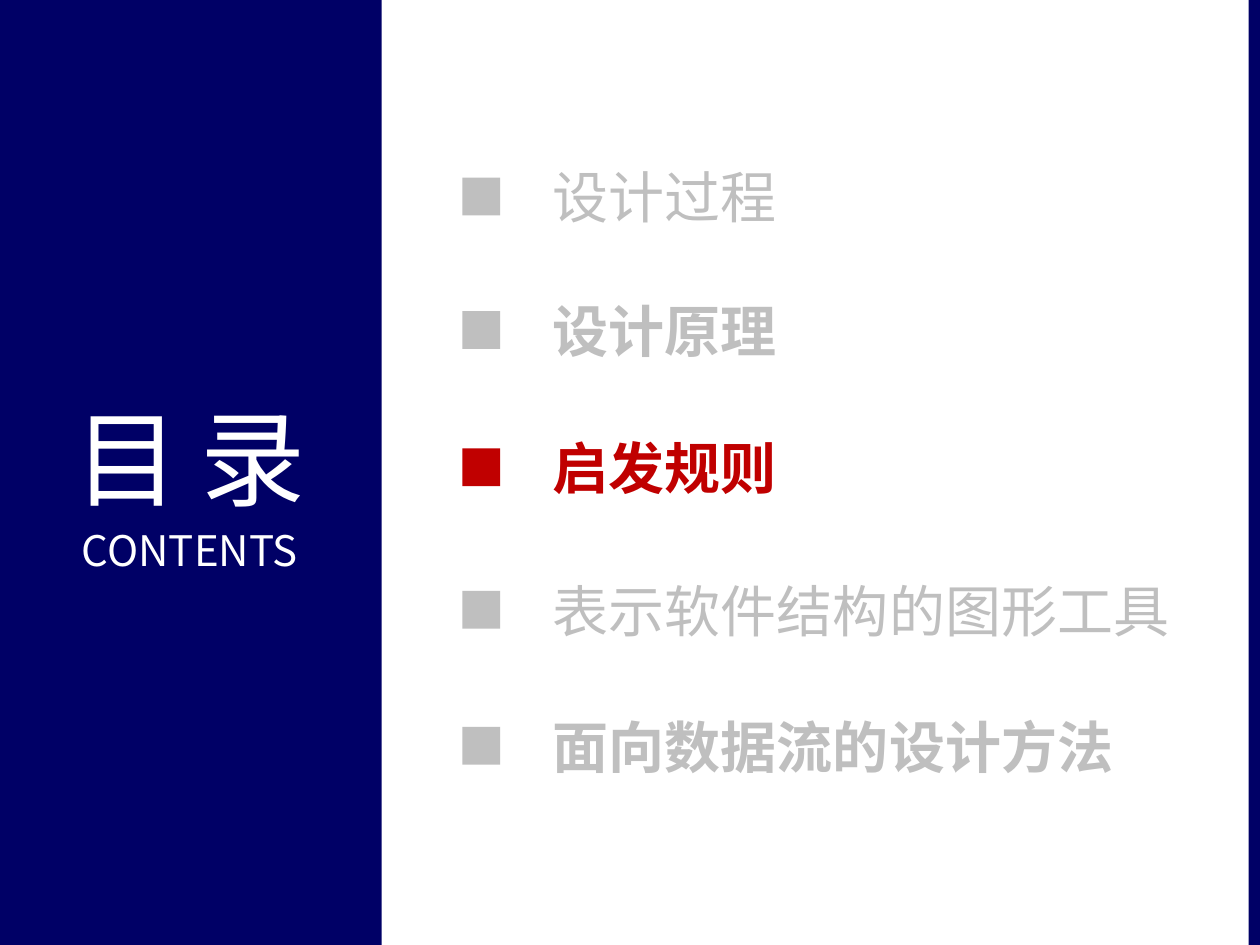
from dataclasses import dataclass

from pptx import Presentation
from pptx.dml.color import RGBColor
from pptx.enum.shapes import MSO_SHAPE
from pptx.enum.text import MSO_ANCHOR, MSO_AUTO_SIZE, PP_ALIGN
from pptx.oxml.ns import qn
from pptx.util import Inches, Pt
from lxml.etree import SubElement


@dataclass(frozen=True)
class Theme:
    font: str = "Noto Sans CJK SC"
    navy: str = "000066"
    white: str = "FFFFFF"
    muted: str = "BFBFBF"
    active: str = "C00000"
    title: int = 60
    subtitle: int = 24
    item: int = 32


class Deck:
    """Style and current slide; lengths are in columns and rows of one inch."""

    COLS, ROWS = 10, 7.5

    def __init__(self, theme):
        self.theme = theme
        self.prs = Presentation()
        self.prs.slide_width = Inches(self.COLS)
        self.prs.slide_height = Inches(self.ROWS)
        self.s = self.prs.slides.add_slide(self.prs.slide_layouts[6])

    def block(self, x, y, w, h, color):
        sp = self.s.shapes.add_shape(
            MSO_SHAPE.RECTANGLE, *map(Inches, (x, y, w, h)))
        sp.shadow.inherit = False
        sp.fill.solid()
        sp.fill.fore_color.rgb = RGBColor.from_string(color)
        sp.line.fill.background()

    def text_box(self, x, y, w, h, anchor=MSO_ANCHOR.MIDDLE):
        tf = self.s.shapes.add_textbox(*map(Inches, (x, y, w, h))).text_frame
        tf.word_wrap = True
        tf.auto_size = MSO_AUTO_SIZE.NONE
        tf.vertical_anchor = anchor
        return tf

    def style(self, p, text, size, color, bold=False,
              align=PP_ALIGN.LEFT, tracking=0):
        p.text = text
        p.alignment = align
        font = p.font
        font.name = self.theme.font
        font.size = Pt(size)
        font.bold = bold
        font.color.rgb = RGBColor.from_string(color)
        # East Asian typeface and letter spacing
        props = p._p.pPr.find(qn("a:defRPr"))
        SubElement(props, qn("a:ea")).set("typeface", self.theme.font)
        if tracking:
            props.set("spc", str(tracking * 100))

    def heading(self, x, y, w, h, title, subtitle):
        t = self.theme
        tf = self.text_box(x, y, w, h, MSO_ANCHOR.BOTTOM)
        self.style(tf.paragraphs[0], title, t.title, t.white,
                   align=PP_ALIGN.CENTER, tracking=12)
        p = tf.add_paragraph()
        self.style(p, subtitle, t.subtitle, t.white, align=PP_ALIGN.CENTER)
        p.space_before = Pt(3)

    def item(self, middle, text, color, bold):
        marker, height = 0.3, 0.64
        self.block(3.67, middle - marker / 2, marker, marker, color)
        tf = self.text_box(4.29, middle - height / 2, 5.4, height)
        self.style(tf.paragraphs[0], text, self.theme.item, color, bold)


def main():
    theme = Theme()
    deck = Deck(theme)

    # Side panel with heading, and right edge
    left, width, edge = -0.02, 3.05, 0.09
    deck.block(left, 0, width, deck.ROWS, theme.navy)
    deck.heading(left, 2.89, width, 1.72, "目录", "CONTENTS")
    deck.block(deck.COLS - edge, 0, edge, deck.ROWS, theme.navy)

    # Agenda: row middle, text, colour, bold
    agenda = [
        (1.56, "设计过程", theme.muted, False),
        (2.62, "设计原理", theme.muted, True),
        (3.71, "启发规则", theme.active, True),
        (4.84, "表示软件结构的图形工具", theme.muted, False),
        (5.92, "面向数据流的设计方法", theme.muted, True),
    ]
    for entry in agenda:
        deck.item(*entry)

    deck.prs.save("out.pptx")


if __name__ == "__main__":
    main()
